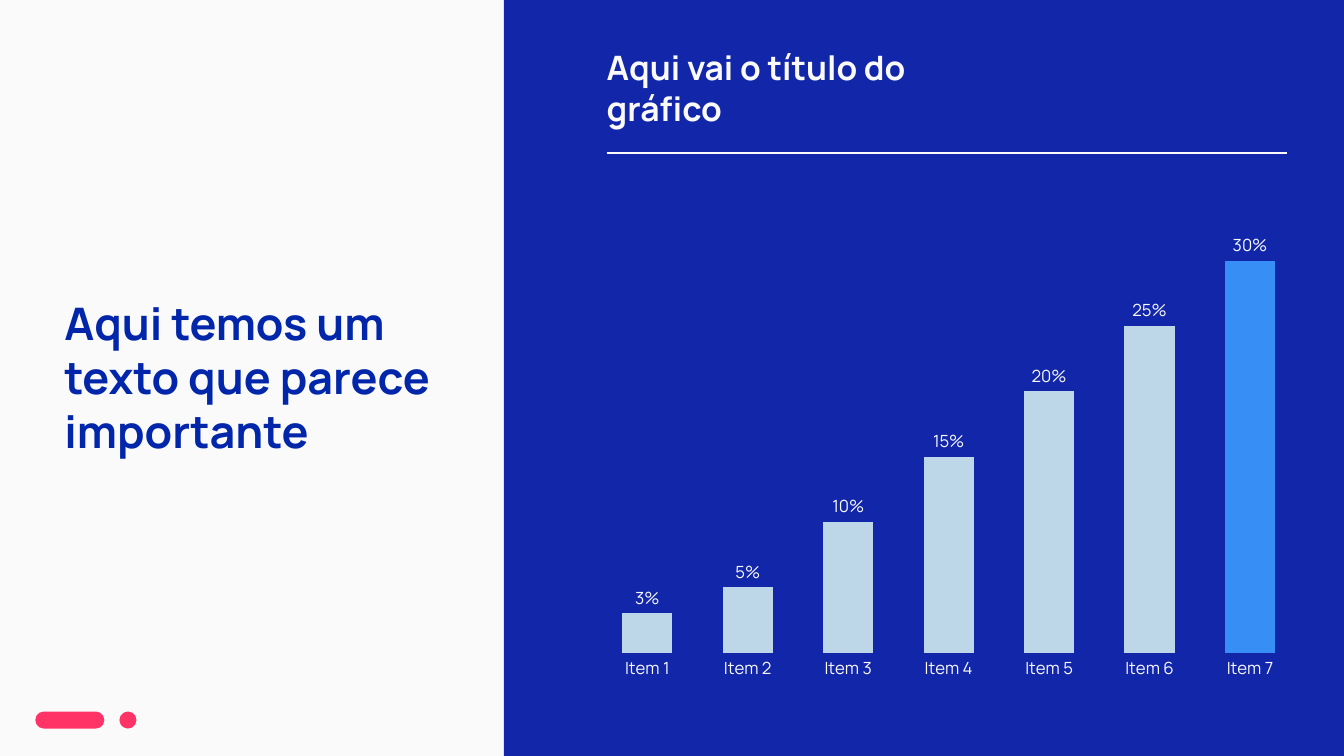
from lxml import etree
from pptx import Presentation
from pptx.chart.data import CategoryChartData
from pptx.dml.color import RGBColor
from pptx.enum.chart import XL_CHART_TYPE, XL_LABEL_POSITION, XL_TICK_MARK
from pptx.enum.shapes import MSO_CONNECTOR, MSO_SHAPE
from pptx.enum.text import MSO_ANCHOR, MSO_AUTO_SIZE, PP_ALIGN
from pptx.oxml import parse_xml
from pptx.oxml.ns import nsdecls, qn
from pptx.util import Cm, Pt

COLUMNS = XL_CHART_TYPE.COLUMN_CLUSTERED
OUTSIDE_END = XL_LABEL_POSITION.OUTSIDE_END
NO_TICK = XL_TICK_MARK.NONE
RECTANGLE, PILL = MSO_SHAPE.RECTANGLE, MSO_SHAPE.ROUNDED_RECTANGLE

FONT = "Manrope"
OFF_WHITE = RGBColor(0xFA, 0xFA, 0xFA)
PANEL_BLUE = RGBColor(0x12, 0x26, 0xAA)
TITLE_BLUE = RGBColor(0x01, 0x26, 0xAA)
PINK = RGBColor(0xFF, 0x33, 0x66)
PALE_BLUE = RGBColor(0xBD, 0xD7, 0xE8)
HIGHLIGHT_BLUE = RGBColor(0x37, 0x8E, 0xF5)


def write_text(box, text, *, size, color, inset):
    frame = box.text_frame
    frame.word_wrap = True
    frame.auto_size = MSO_AUTO_SIZE.SHAPE_TO_FIT_TEXT
    frame.vertical_anchor = MSO_ANCHOR.TOP
    frame.margin_left = frame.margin_right = inset
    frame.margin_top = frame.margin_bottom = inset
    frame.text = text
    paragraph = frame.paragraphs[0]
    paragraph.alignment = PP_ALIGN.LEFT
    font = paragraph.runs[0].font
    font.name, font.size, font.bold = FONT, Pt(size), True
    font.color.rgb = color


def style_labels(font, size):
    font.name, font.size = FONT, Pt(size)
    font.color.rgb = OFF_WHITE


prs = Presentation()
prs.slide_width, prs.slide_height = Cm(33.87), Cm(19.05)
slide = prs.slides.add_slide(prs.slide_layouts[5])
slide.background.fill.solid()
slide.background.fill.fore_color.rgb = OFF_WHITE

# Blue panel and the pink dash and dot
for kind, left, top, width, height, color in (
    (RECTANGLE, 12.7, 0, 21.17, 19.05, PANEL_BLUE),
    (PILL, 0.89, 17.93, 1.74, 0.43, PINK),
    (PILL, 3.01, 17.93, 0.43, 0.43, PINK),
):
    block = slide.shapes.add_shape(kind, Cm(left), Cm(top), Cm(width), Cm(height))
    block.shadow.inherit = False
    block.fill.solid()
    block.fill.fore_color.rgb = color
    block.line.fill.background()
    if kind == PILL:
        block.adjustments[0] = 0.5

# Column chart
shares = CategoryChartData(number_format="0%")
shares.categories = [f"Item {number}" for number in range(1, 8)]
shares.add_series("Series 1", (0.03, 0.05, 0.1, 0.15, 0.2, 0.25, 0.3))
chart = slide.shapes.add_chart(
    COLUMNS, Cm(14.96), Cm(4.47), Cm(17.81), Cm(13.21), shares
).chart
chart.has_legend = False
chart.has_title = False
style_labels(chart.font, 10)

item_axis = chart.category_axis
item_axis.major_tick_mark = item_axis.minor_tick_mark = NO_TICK
item_axis.has_major_gridlines = False
item_axis.format.line.fill.background()
style_labels(item_axis.tick_labels.font, 12)

share_axis = chart.value_axis
share_axis.minimum_scale, share_axis.maximum_scale = 0, 0.35
share_axis.has_major_gridlines = False
share_axis.visible = False

plot = chart.plots[0]
plot.gap_width, plot.overlap = 100, -27
plot.vary_by_categories = False
columns = plot.series[0]
columns.format.fill.solid()
columns.format.fill.fore_color.rgb = PALE_BLUE
last_column = columns.points[6].format.fill
last_column.solid()
last_column.fore_color.rgb = HIGHLIGHT_BLUE

plot.has_data_labels = True
labels = plot.data_labels
labels.show_value = True
labels.position = OUTSIDE_END
labels.number_format, labels.number_format_is_linked = "0%", False
style_labels(labels.font, 12)

# Fixed inner plot area
plot_area = plot._element.getparent()
for automatic_layout in plot_area.findall(qn("c:layout")):
    plot_area.remove(automatic_layout)
plot_area.insert(0, parse_xml(
    f'<c:layout {nsdecls("c")}><c:manualLayout><c:layoutTarget val="inner"/>'
    '<c:xMode val="edge"/><c:yMode val="edge"/><c:x val="0.005"/><c:y val="0.034"/>'
    '<c:w val="0.995"/><c:h val="0.873"/></c:manualLayout></c:layout>'
))

# Title, chart heading and rule
title = slide.shapes.title
title.left, title.top, title.width, title.height = Cm(1.37), Cm(7.21), Cm(10.64), Cm(4.62)
write_text(title, "Aqui temos um texto que parece importante",
           size=32, color=TITLE_BLUE, inset=Cm(0.25))

heading = slide.shapes.add_textbox(Cm(15.29), Cm(1.19), Cm(7.75), Cm(2.06))
write_text(heading, "Aqui vai o título do gráfico", size=24, color=OFF_WHITE, inset=0)

rule = slide.shapes.add_connector(
    MSO_CONNECTOR.STRAIGHT, Cm(15.29), Cm(3.86), Cm(32.44), Cm(3.86)
)
rule.line.color.rgb = OFF_WHITE
rule.line.width = Pt(1)
etree.SubElement(rule._element.spPr, qn("a:effectLst"))

prs.save("out.pptx")
